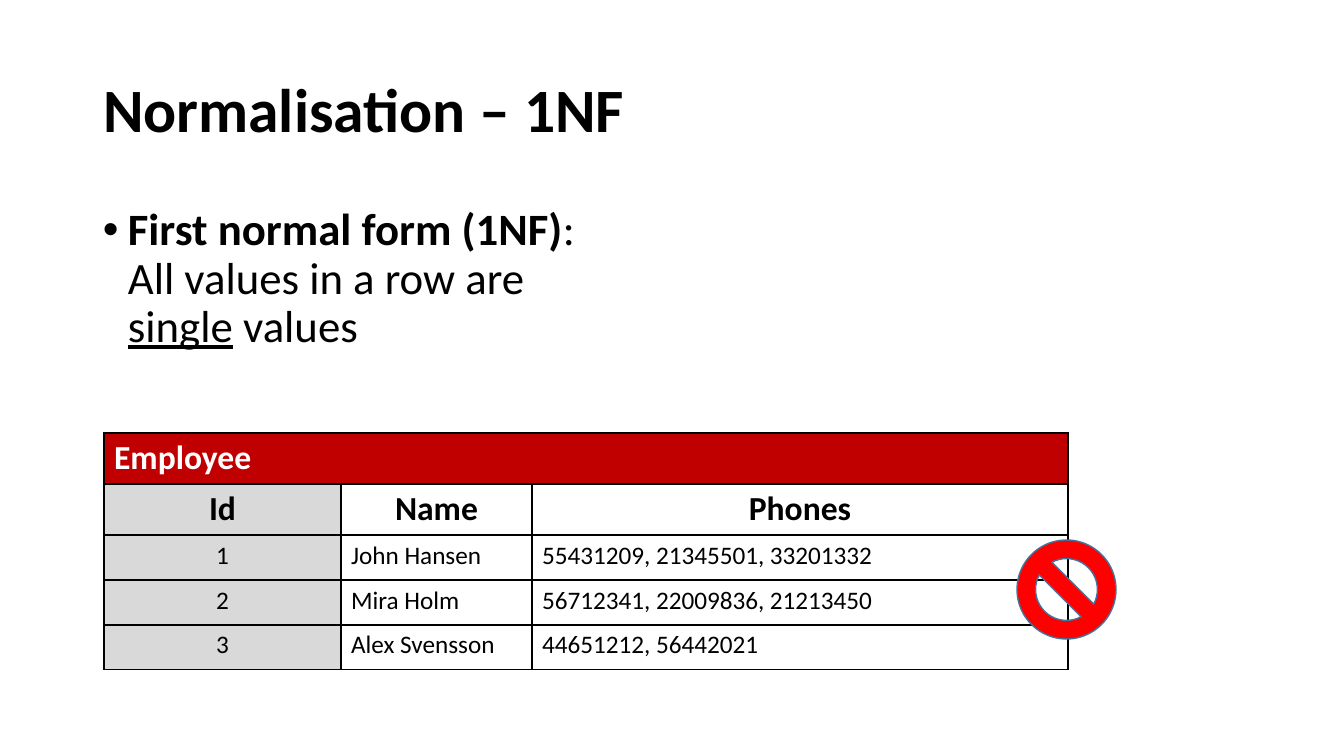
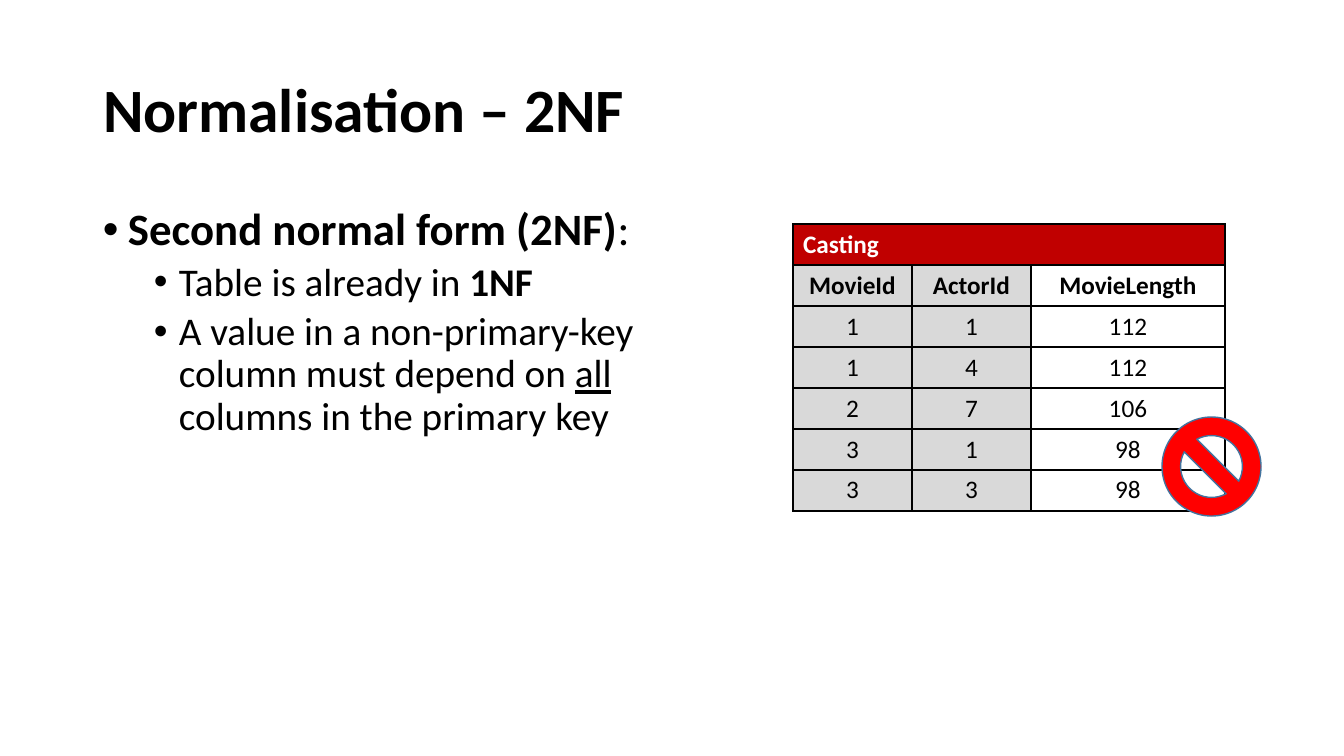
from lxml.etree import SubElement
from pptx import Presentation
from pptx.dml.color import RGBColor
from pptx.enum.shapes import MSO_SHAPE
from pptx.enum.text import MSO_ANCHOR, PP_ALIGN
from pptx.oxml.ns import qn
from pptx.util import Emu, Pt

BLACK = RGBColor(0x00, 0x00, 0x00)
WHITE = RGBColor(0xFF, 0xFF, 0xFF)
HEADER_RED = RGBColor(0xC0, 0x00, 0x00)
KEY_GREY = RGBColor(0xD9, 0xD9, 0xD9)
SIGN_RED = RGBColor(0xFF, 0x00, 0x00)
SIGN_EDGE = RGBColor(0x43, 0x73, 0x9E)
FONT = "Calibri"
LEFT, CENTER = PP_ALIGN.LEFT, PP_ALIGN.CENTER

SLIDE_SIZE = (1344, 756)
TITLE_BOX = (93, 40, 1159, 146)
SIGN_SIZE = 99
HANGING = 25  # bullet indent
BOLD, UNDERLINED = {"bold": True}, {"underline": True}
# Per bullet level: text size, left margin in px, space before
LEVELS = [(32, 25, 10), (28, 76, 5)]

# Bullets are (level, [(text, format), ...])
SLIDES = [
    {
        "title": "Normalisation – 1NF",
        "bullets_box": (93, 202, 495, 218),
        "bullets": [
            (0, [("First normal form (1NF)", BOLD), (": All values in a row are ", {}),
                 ("single", UNDERLINED), (" values", {})]),
        ],
        "table": {
            "name": "Employee",
            "at": (104, 433),
            "columns": ["Id", "Name", "Phones"],
            "widths": [237, 191, 536],
            "aligns": [CENTER, LEFT, LEFT],
            "keys": 1,
            "heading_size": 24,
            "heading_height": 51,
            "row_height": 45,
            "rows": [
                ("1", "John Hansen", "55431209, 21345501, 33201332"),
                ("2", "Mira Holm", "56712341, 22009836, 21213450"),
                ("3", "Alex Svensson", "44651212, 56442021"),
            ],
        },
        "sign_at": (1017, 540),
    },
    {
        "title": "Normalisation – 2NF",
        "bullets_box": (93, 202, 582, 455),
        "bullets": [
            (0, [("Second normal form (2NF)", BOLD), (":", {})]),
            (1, [("Table is already in ", {}), ("1NF", BOLD)]),
            (1, [("A value in a non-primary-key column must depend on ", {}),
                 ("all", UNDERLINED), (" columns in the primary key", {})]),
        ],
        "table": {
            "name": "Casting",
            "at": (793, 224),
            "columns": ["MovieId", "ActorId", "MovieLength"],
            "widths": [119, 119, 194],
            "aligns": [CENTER, CENTER, CENTER],
            "keys": 2,
            "heading_size": 18,
            "heading_height": 41,
            "row_height": 41,
            "rows": [("1", "1", "112"), ("1", "4", "112"), ("2", "7", "106"),
                     ("3", "1", "98"), ("3", "3", "98")],
        },
        "sign_at": (1162, 417),
    },
]


def px(length):
    return Emu(round(length * 914400 / 100.8))


def box(*lengths):
    return [px(length) for length in lengths]


def add_run(paragraph, text, size, color=BLACK, **extra):
    run = paragraph.add_run()
    run.text = text
    run.font.color.rgb = color
    for name, value in {"name": FONT, "size": Pt(size), "bold": False, **extra}.items():
        setattr(run.font, name, value)


def add_title(slide, text):
    title = slide.shapes.title
    title.left, title.top, title.width, title.height = box(*TITLE_BOX)
    title.text_frame.vertical_anchor = MSO_ANCHOR.MIDDLE
    paragraph = title.text_frame.paragraphs[0]
    paragraph.alignment, paragraph.line_spacing = LEFT, 0.9
    add_run(paragraph, text, 44, bold=True)


def add_bullets(slide, area, bullets):
    frame = slide.shapes.add_textbox(*box(*area)).text_frame
    frame.word_wrap = True
    for index, (level, runs) in enumerate(bullets):
        paragraph = frame.add_paragraph() if index else frame.paragraphs[0]
        size, margin, space = LEVELS[level]
        paragraph.level = level
        paragraph.line_spacing = 0.9
        paragraph.space_before = Pt(space)
        properties = paragraph._p.get_or_add_pPr()
        properties.set("marL", str(px(margin)))
        properties.set("indent", str(px(-HANGING)))
        SubElement(properties, qn("a:buFont"), typeface="Arial")
        SubElement(properties, qn("a:buChar"), char="•")
        for text, style in runs:
            add_run(paragraph, text, size, **style)


def add_borders(cell):
    properties = cell._tc.get_or_add_tcPr()
    for side in ("lnL", "lnR", "lnT", "lnB"):
        line = SubElement(properties, qn(f"a:{side}"), w=str(Pt(1)))
        fill = SubElement(line, qn("a:solidFill"))
        SubElement(fill, qn("a:srgbClr"), val=str(BLACK))


def add_data_table(slide, data):
    columns, rows = data["columns"], data["rows"]
    heights = [data["heading_height"]] * 2 + [data["row_height"]] * len(rows)
    table = slide.shapes.add_table(
        len(heights), len(columns),
        *box(*data["at"], sum(data["widths"]), sum(heights))).table
    table.first_row = table.horz_banding = False
    for column, width in zip(table.columns, data["widths"]):
        column.width = px(width)
    for row, height in zip(table.rows, heights):
        row.height = px(height)

    # Name row across all columns, then column headings and values
    table.cell(0, 0).merge(table.cell(0, len(columns) - 1))
    for cell in table.iter_cells():
        add_borders(cell)
    name_cell = table.cell(0, 0)
    name_cell.fill.solid()
    name_cell.fill.fore_color.rgb = HEADER_RED
    add_run(name_cell.text_frame.paragraphs[0], data["name"],
            data["heading_size"], WHITE, bold=True)
    for row_index, values in enumerate([columns, *rows], start=1):
        heading = row_index == 1
        for column_index, value in enumerate(values):
            cell = table.cell(row_index, column_index)
            if column_index < data["keys"]:
                cell.fill.solid()
                cell.fill.fore_color.rgb = KEY_GREY
            else:
                cell.fill.background()
            paragraph = cell.text_frame.paragraphs[0]
            paragraph.alignment = CENTER if heading else data["aligns"][column_index]
            add_run(paragraph, value, data["heading_size"] if heading else 18, bold=heading)


def add_forbidden_sign(slide, at):
    sign = slide.shapes.add_shape(MSO_SHAPE.NO_SYMBOL, *box(*at, SIGN_SIZE, SIGN_SIZE))
    sign.shadow.inherit = False
    sign.fill.solid()
    sign.fill.fore_color.rgb = SIGN_RED
    sign.line.color.rgb = SIGN_EDGE
    sign.line.width = Pt(1)


def main():
    deck = Presentation()
    deck.slide_width, deck.slide_height = box(*SLIDE_SIZE)
    for content in SLIDES:
        slide = deck.slides.add_slide(deck.slide_layouts[5])
        add_title(slide, content["title"])
        add_bullets(slide, content["bullets_box"], content["bullets"])
        add_data_table(slide, content["table"])
        add_forbidden_sign(slide, content["sign_at"])
    deck.save("out.pptx")


if __name__ == "__main__":
    main()
